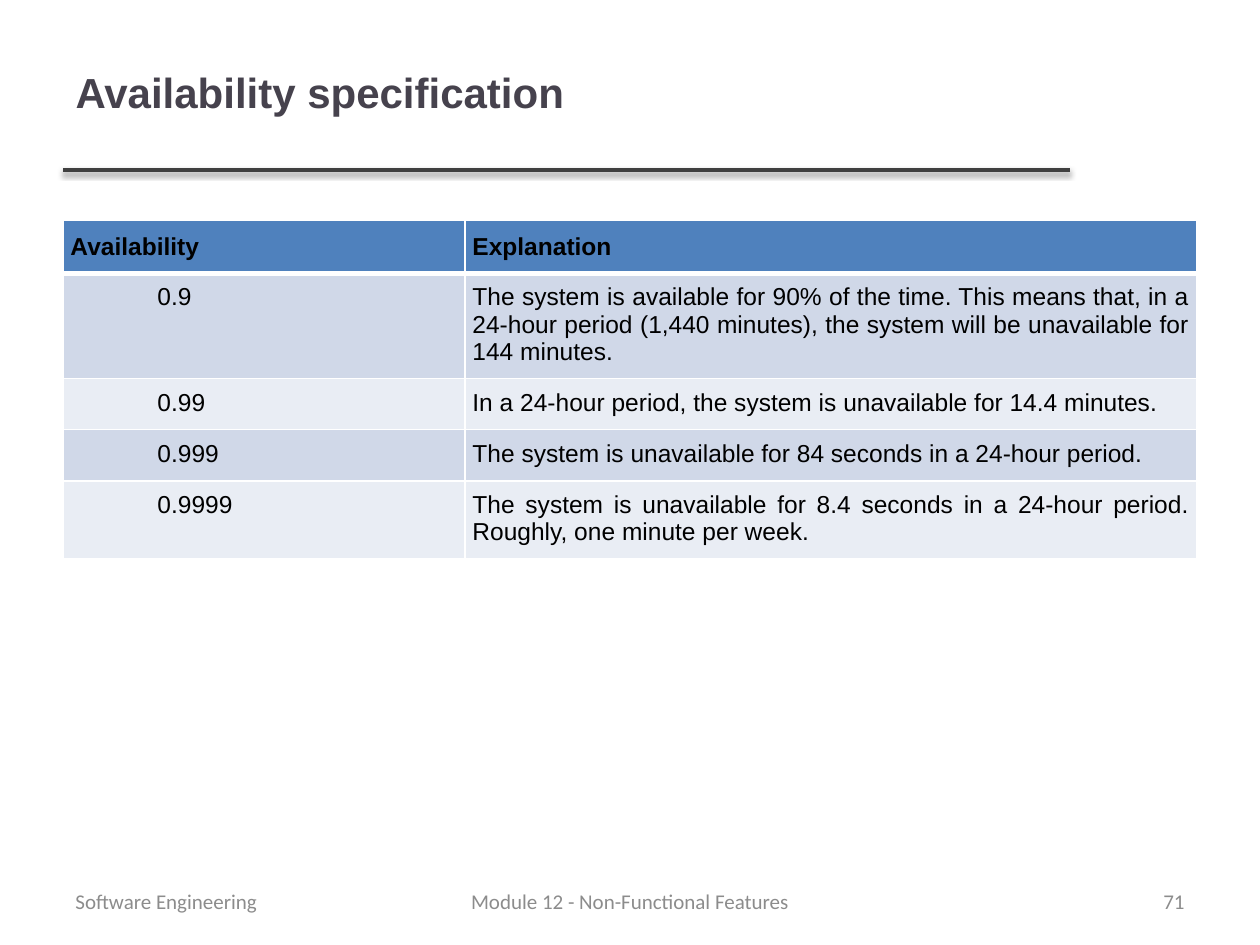
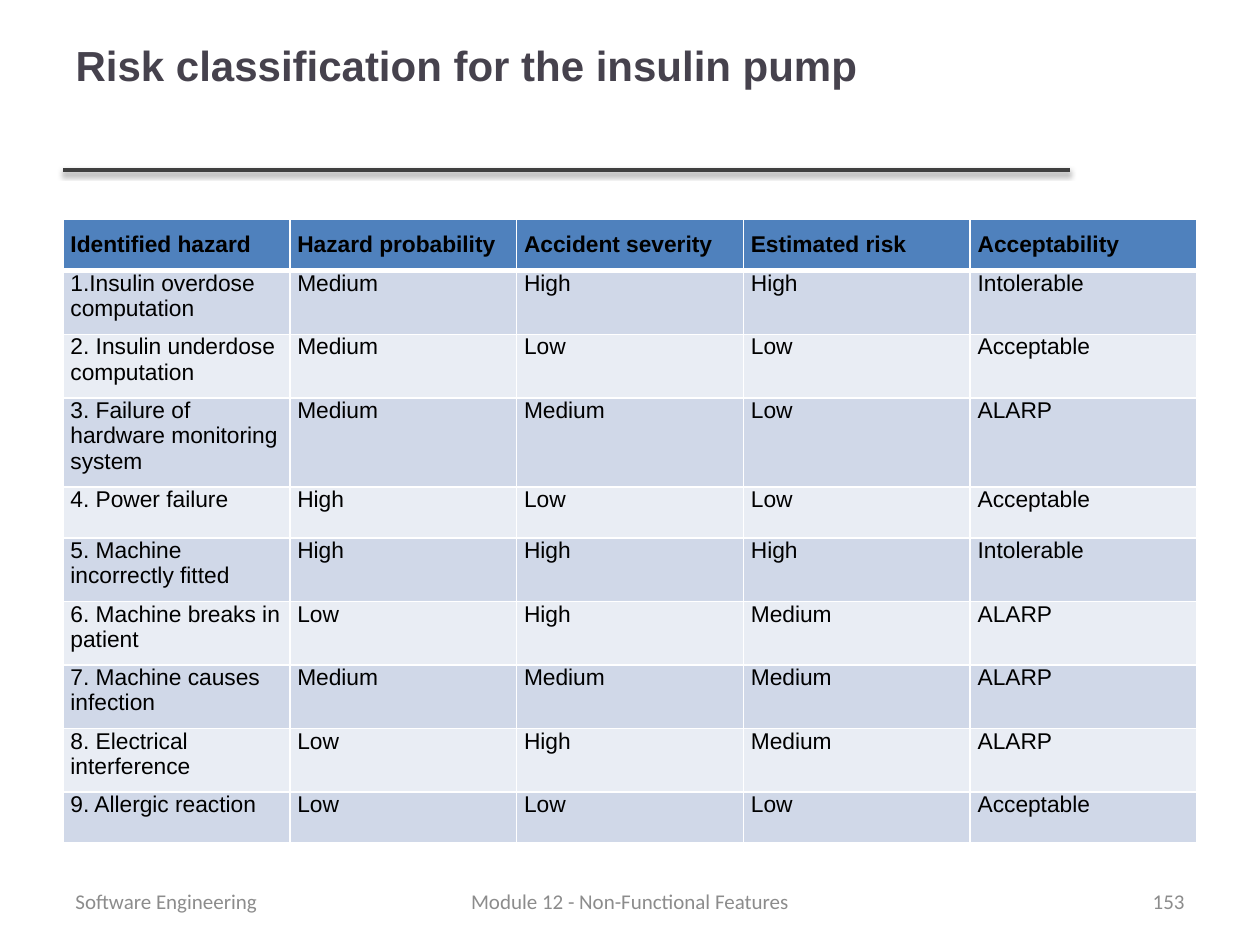
from dataclasses import dataclass

from lxml.etree import SubElement
from pptx import Presentation
from pptx.dml.color import RGBColor
from pptx.enum.shapes import MSO_CONNECTOR
from pptx.enum.text import MSO_ANCHOR, MSO_AUTO_SIZE, PP_ALIGN
from pptx.oxml import parse_xml
from pptx.oxml.ns import nsdecls, qn
from pptx.slide import Slide
from pptx.table import _Cell
from pptx.text.text import _Paragraph
from pptx.util import Pt


@dataclass(frozen=True)
class Theme:
    """Colours, fonts, type sizes and margins shared by the slides."""
    title: str = "46424D"
    rule: str = "404040"
    shadow: str = "000000"
    text: str = "000000"
    footer: str = "8C8C8C"
    border: str = "FFFFFF"
    header_fill: str = "4F81BD"
    band_fills: tuple[str, str] = ("D0D8E8", "E9EDF4")
    font: str = "Arial"
    footer_font: str = "Calibri"
    title_size: float = 24
    footer_size: float = 12
    left: float = 36
    width: float = 648


@dataclass(frozen=True)
class TableRow:
    """The texts of a row and the number of lines its tallest cell takes."""
    texts: tuple[str, ...]
    lines: int = 1


@dataclass(frozen=True)
class TableSlide:
    """A titled slide with one table."""
    title: str
    title_top: float
    title_width: float
    number: str
    table_top: float
    columns: tuple[float, ...]
    size: float
    body_inset: float
    first_indent: float
    rows: tuple[TableRow, ...]


@dataclass(frozen=True)
class FooterItem:
    """A text in the footer line."""
    text: str
    left: float
    width: float
    alignment: PP_ALIGN


THEME = Theme()
TITLE_HEIGHT = 90
RULE_TOP, RULE_RIGHT = 97.2, 611.3
FOOTER_TOP, FOOTER_HEIGHT = 500.4, 28.8
SIDE_INSET, END_INSET = 4.3, 7.2
MINIMUM_ROW, LINE_FACTOR = 29.2, 1.12

AVAILABILITY = TableSlide(
    "Availability specification", 7.2, 574.6, "71", 126, (229.7, 418.3), 14, 5.8, 49.7,
    (
        TableRow(("Availability", "Explanation")),
        TableRow(("0.9", "The system is available for 90% of the time. This means that, "
                  "in a 24-hour period (1,440 minutes), the system will be unavailable "
                  "for 144 minutes."), 3),
        TableRow(("0.99", "In a 24-hour period, the system is unavailable for 14.4 minutes.")),
        TableRow(("0.999", "The system is unavailable for 84 seconds in a 24-hour period.")),
        TableRow(("0.9999", "The system is unavailable for 8.4 seconds in a 24-hour period. "
                  "Roughly, one minute per week."), 2),
    ),
)

RISKS = TableSlide(
    "Risk classification for the insulin pump", -7.9, THEME.width, "153", 125.5,
    (THEME.width / 5,) * 5, 13, 0, 0,
    (
        TableRow(("Identified hazard", "Hazard probability", "Accident severity",
                  "Estimated risk", "Acceptability")),
        TableRow(("1.Insulin overdose computation", "Medium", "High", "High", "Intolerable"), 2),
        TableRow(("2. Insulin underdose computation", "Medium", "Low", "Low", "Acceptable"), 2),
        TableRow(("3. Failure of hardware monitoring system", "Medium", "Medium", "Low",
                  "ALARP"), 3),
        TableRow(("4. Power failure", "High", "Low", "Low", "Acceptable")),
        TableRow(("5. Machine incorrectly fitted", "High", "High", "High", "Intolerable"), 2),
        TableRow(("6. Machine breaks in patient", "Low", "High", "Medium", "ALARP"), 2),
        TableRow(("7. Machine causes infection", "Medium", "Medium", "Medium", "ALARP"), 2),
        TableRow(("8. Electrical interference", "Low", "High", "Medium", "ALARP"), 2),
        TableRow(("9. Allergic reaction", "Low", "Low", "Low", "Acceptable")),
    ),
)


def add_run(paragraph: _Paragraph, text: str, font: str, size: float,
            colour: str, bold: bool = False) -> None:
    """Add one formatted run to a paragraph."""
    run = paragraph.add_run()
    run.text = text
    run.font.name = font
    run.font.size = Pt(size)
    run.font.bold = bold
    run.font.color.rgb = RGBColor.from_string(colour)


def add_rule(slide: Slide) -> None:
    """Draw the shadowed line below the title."""
    rule = slide.shapes.add_connector(MSO_CONNECTOR.STRAIGHT, Pt(THEME.left), Pt(RULE_TOP),
                                      Pt(RULE_RIGHT), Pt(RULE_TOP))
    rule.line.color.rgb = RGBColor.from_string(THEME.rule)
    rule.line.width = Pt(2)
    effects = SubElement(rule._element.spPr, qn("a:effectLst"))
    shadow = SubElement(effects, qn("a:outerShdw"), blurRad=str(Pt(3.1)), dist=str(Pt(1.6)),
                        dir="5400000", rotWithShape="0")
    colour = SubElement(shadow, qn("a:srgbClr"), val=THEME.shadow)
    SubElement(colour, qn("a:alpha"), val="38000")


def set_title(slide: Slide, content: TableSlide) -> None:
    """Place and fill the title placeholder."""
    title = slide.shapes.title
    title.left, title.top = Pt(THEME.left), Pt(content.title_top)
    title.width, title.height = Pt(content.title_width), Pt(TITLE_HEIGHT)
    frame = title.text_frame
    frame.auto_size = MSO_AUTO_SIZE.NONE
    frame.vertical_anchor = MSO_ANCHOR.MIDDLE
    paragraph = frame.paragraphs[0]
    paragraph.alignment = PP_ALIGN.LEFT
    add_run(paragraph, content.title, THEME.font, THEME.title_size, THEME.title, bold=True)


def set_borders(cell: _Cell, bottom: float) -> None:
    """Give a cell thin borders and a bottom border of its own width."""
    properties = cell._tc.get_or_add_tcPr()
    widths = {"lnL": 1, "lnR": 1, "lnT": 1, "lnB": bottom}
    for index, (side, width) in enumerate(widths.items()):
        properties.insert(index, parse_xml(
            f'<a:{side} {nsdecls("a")} w="{Pt(width)}"><a:solidFill>'
            f'<a:srgbClr val="{THEME.border}"/></a:solidFill></a:{side}>'))


def fill_cell(cell: _Cell, text: str, row: int, column: int, content: TableSlide) -> None:
    """Write and format one table cell."""
    header = row == 0
    fill = THEME.header_fill if header else THEME.band_fills[(row - 1) % 2]
    cell.fill.solid()
    cell.fill.fore_color.rgb = RGBColor.from_string(fill)
    set_borders(cell, bottom=3 if header else 1)
    cell.margin_left = cell.margin_right = Pt(SIDE_INSET)
    cell.margin_top = Pt(END_INSET if header else content.body_inset)
    cell.margin_bottom = Pt(END_INSET)
    paragraph = cell.text_frame.paragraphs[0]
    paragraph.alignment = PP_ALIGN.LEFT if column == 0 else PP_ALIGN.JUSTIFY
    if column == 0 and not header and content.first_indent:
        paragraph._p.get_or_add_pPr().set("indent", str(Pt(content.first_indent)))
    add_run(paragraph, text, THEME.font, content.size, THEME.text, bold=header)


def add_data_table(slide: Slide, content: TableSlide) -> None:
    """Build the table, each row as tall as its lines need."""
    heights = [
        max(MINIMUM_ROW, row.lines * content.size * LINE_FACTOR + END_INSET
            + (content.body_inset if index else END_INSET))
        for index, row in enumerate(content.rows)
    ]
    table = slide.shapes.add_table(
        len(content.rows), len(content.columns), Pt(THEME.left), Pt(content.table_top),
        Pt(THEME.width), Pt(sum(heights))).table
    for column, width in zip(table.columns, content.columns):
        column.width = Pt(width)
    for row_index, (row, height) in enumerate(zip(content.rows, heights)):
        table.rows[row_index].height = Pt(height)
        for column_index, text in enumerate(row.texts):
            fill_cell(table.cell(row_index, column_index), text, row_index, column_index, content)


def add_footer(slide: Slide, number: str) -> None:
    """Add the course, the module and the slide number."""
    items = (
        FooterItem("Software Engineering", THEME.left, 168, PP_ALIGN.LEFT),
        FooterItem("Module 12 - Non-Functional Features", 246, 228, PP_ALIGN.CENTER),
        FooterItem(number, 516, 168, PP_ALIGN.RIGHT),
    )
    for item in items:
        box = slide.shapes.add_textbox(Pt(item.left), Pt(FOOTER_TOP),
                                       Pt(item.width), Pt(FOOTER_HEIGHT))
        frame = box.text_frame
        frame.word_wrap = True
        frame.vertical_anchor = MSO_ANCHOR.MIDDLE
        paragraph = frame.paragraphs[0]
        paragraph.alignment = item.alignment
        add_run(paragraph, item.text, THEME.footer_font, THEME.footer_size, THEME.footer)


def main() -> None:
    """Build and save the presentation."""
    presentation = Presentation()
    presentation.slide_width, presentation.slide_height = Pt(720), Pt(540)
    title_only = presentation.slide_layouts.get_by_name("Title Only")
    for content in (AVAILABILITY, RISKS):
        slide = presentation.slides.add_slide(title_only)
        add_rule(slide)
        set_title(slide, content)
        add_data_table(slide, content)
        add_footer(slide, content.number)
    presentation.save("out.pptx")


main()
